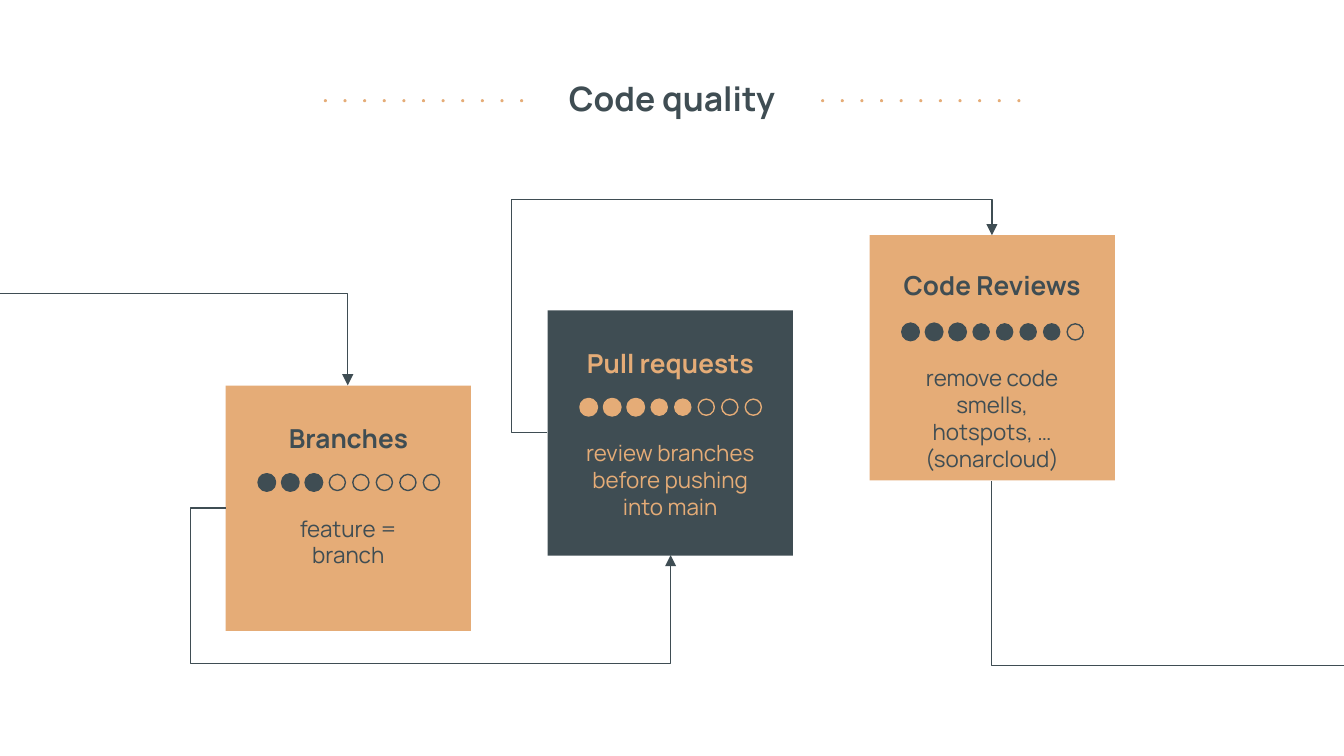
from lxml import etree
from pptx import Presentation
from pptx import util as u
from pptx.dml.color import RGBColor
from pptx.enum import shapes, text
from pptx.oxml.ns import qn

THEME = {
    "font": "Manrope",
    "slate": RGBColor(0x3F, 0x4D, 0x53),
    "sand": RGBColor(0xE5, 0xAC, 0x77),
    "title": 18, "heading": 14, "body": 12,
    "thin": 0.75, "thick": 1.5,
}
OVAL = shapes.MSO_SHAPE.OVAL
MIDDLE, TOP = text.MSO_ANCHOR.MIDDLE, text.MSO_ANCHOR.TOP

# Grid: 100 columns by 56.25 rows of square cells
CELL = u.Inches(0.1)


def grid(*cells):
    return [u.Emu(round(n * CELL)) for n in cells]


def write(holder, words, size, color, bold=False, anchor=TOP):
    frame = holder.text_frame
    frame.text = words
    frame.word_wrap = True
    frame.auto_size = text.MSO_AUTO_SIZE.NONE
    frame.vertical_anchor = anchor
    frame.margin_left = frame.margin_right = CELL
    frame.margin_top = frame.margin_bottom = CELL
    paragraph = frame.paragraphs[0]
    paragraph.alignment = text.PP_ALIGN.CENTER
    font = paragraph.runs[0].font
    font.name, font.size, font.bold = THEME["font"], u.Pt(size), bold
    font.color.rgb = color


deck = Presentation()
deck.slide_width, deck.slide_height = grid(100, 56.25)
slide = deck.slides.add_slide(deck.slide_layouts[5])

# Title
title = slide.shapes.title
title.left, title.top, title.width, title.height = grid(18.6, 4.8, 62.8, 6.3)
write(title, "Code quality", THEME["title"], THEME["slate"], bold=True)

# Dotted rules on both sides of the title
for rule_left in (24.1, 61.1):
    rule = slide.shapes.add_group_shape()
    for i in range(11):
        dot = rule.shapes.add_shape(OVAL, *grid(rule_left + 1.46 * i, 7.38, 0.23, 0.23))
        dot.shadow.inherit = False
        dot.fill.solid()
        dot.fill.fore_color.rgb = THEME["sand"]
        dot.line.fill.background()

# Stage boxes, climbing from left to right
SIDE, STEP, RISE = 18.25, 23.95, 5.6
# heading, description, filled dots, box colour, ink colour, heading drop and width
stages = [
    ("Branches", "feature = branch", 3, "sand", "slate", 2, 15.2),
    ("Pull requests", "review branches before pushing into main", 5, "slate", "sand", 2, 15.2),
    ("Code Reviews", "remove code smells, hotspots, … (sonarcloud)", 7, "sand", "slate", 1.8, 16.7),
]
corners = [(16.8 + STEP * i, 28.7 - RISE * i) for i in range(len(stages))]
boxes = []
for (left, top), stage in zip(corners, stages):
    box = slide.shapes.add_shape(shapes.MSO_SHAPE.RECTANGLE, *grid(left, top, SIDE, SIDE))
    box.shadow.inherit = False
    box.fill.solid()
    box.fill.fore_color.rgb = THEME[stage[3]]
    box.line.fill.background()
    boxes.append(box)
branches, pulls, reviews = boxes

# Elbow arrows: preset, frame, turn, mirrored, bends, start and end sites, arrow end
SITE_TOP, SITE_LEFT, SITE_BOTTOM = 0, 1, 2
arrows = [
    ("bentConnector4", (16.8, 37.8, 33.1, 3.5), 0, 0, (-0.08, 3.31),
     (branches, SITE_LEFT), (pulls, SITE_BOTTOM), "tailEnd"),
    ("bentConnector4", (40.7, 17.5, 33.1, 14.7), 180, 1, (-0.08, 1.18),
     (pulls, SITE_LEFT), (reviews, SITE_TOP), "tailEnd"),
    ("bentConnector2", (81.45, 28.15, 13.7, 29), 270, 1, (),
     (reviews, SITE_BOTTOM), None, None),
    ("bentConnector2", (9, 11.8, 6.85, 26.9), 90, 1, (),
     (branches, SITE_TOP), None, "headEnd"),
]
for preset, frame, turn, mirrored, bends, start, end, tip in arrows:
    arrow = slide.shapes.add_connector(shapes.MSO_CONNECTOR.ELBOW, 0, 0, 0, 0)
    arrow.begin_connect(*start)
    if end:
        arrow.end_connect(*end)
    arrow.left, arrow.top, arrow.width, arrow.height = grid(*frame)
    arrow.line.color.rgb = THEME["slate"]
    arrow.line.width = u.Pt(THEME["thin"])
    props = arrow.element.spPr
    xfrm = props.find(qn("a:xfrm"))
    xfrm.set("rot", str(turn * 60000))
    xfrm.set("flipH", str(mirrored))
    xfrm.set("flipV", "0")
    geometry = props.find(qn("a:prstGeom"))
    geometry.set("prst", preset)
    for n, bend in enumerate(bends, 1):
        etree.SubElement(geometry.find(qn("a:avLst")), qn("a:gd"),
                         name=f"adj{n}", fmla=f"val {round(bend * 100000)}")
    if tip:
        etree.SubElement(props.find(qn("a:ln")), qn(f"a:{tip}"), type="triangle")
    etree.SubElement(props, qn("a:effectLst"))

# Stage headings, descriptions and ratings out of eight
for (left, top), stage in zip(corners, stages):
    heading, description, score, _, ink, drop, width = stage
    color = THEME[ink]
    middle = left + SIDE / 2
    name = slide.shapes.add_textbox(*grid(middle - width / 2, top + drop, width, 3.8))
    write(name, heading, THEME["heading"], color, bold=True, anchor=MIDDLE)
    detail = slide.shapes.add_textbox(*grid(middle - 7.35, top + 8.6, 14.7, 6.8))
    write(detail, description, THEME["body"], color)

    rating = slide.shapes.add_group_shape()
    for i in range(8):
        mark = rating.shapes.add_shape(OVAL, *grid(left + 2.45 + 1.75 * i, top + 6.6, 1.2, 1.2))
        mark.shadow.inherit = False
        if i < score:
            mark.fill.solid()
            mark.fill.fore_color.rgb = color
        else:
            mark.fill.background()
        mark.line.color.rgb = color
        mark.line.width = u.Pt(THEME["thick"] if i < 3 else THEME["thin"])

deck.save("out.pptx")
